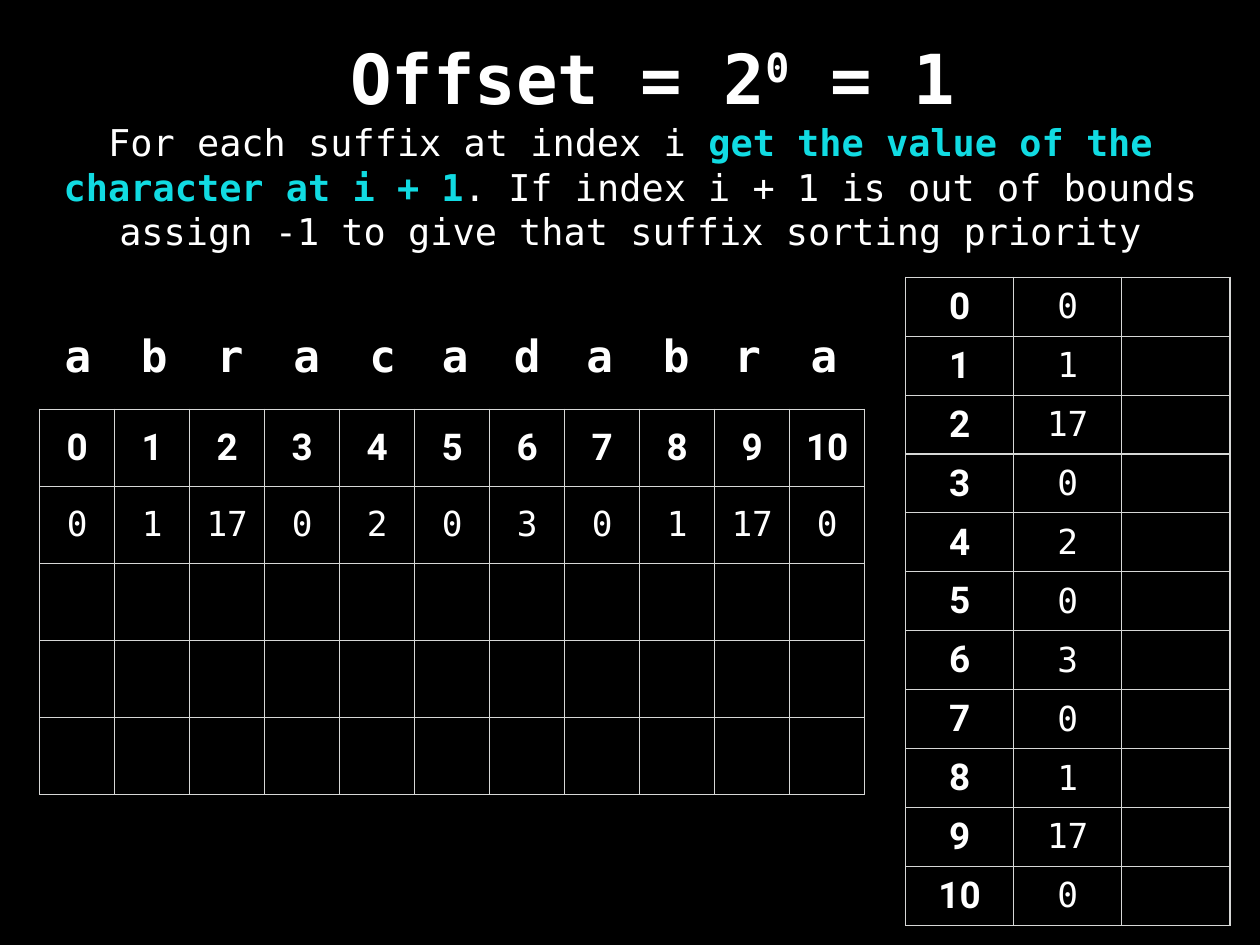
import pptx
import pptx.dml.color
import pptx.enum.text
import pptx.oxml
import pptx.oxml.ns
import pptx.util

Cm = pptx.util.Cm
Pt = pptx.util.Pt
Align = pptx.enum.text.PP_ALIGN
Anchor = pptx.enum.text.MSO_ANCHOR

MONO = "DejaVu Sans Mono"
WHITE = "FFFFFF"
CYAN = "11DBE2"
GRID = "D6D7D6"
INSET = Cm(0.15)

WORD = "abracadabra"
LETTER_LEFTS = [1.7, 3.89, 6.07, 8.26, 10.44, 12.52, 14.58, 16.66, 18.85, 20.9, 23.09]
INDEXES = range(len(WORD))
RANKS = [ord(letter) - ord("a") for letter in WORD]


def color(value):
    return pptx.dml.color.RGBColor.from_string(value)


def add_text(para, text, size=30, font=MONO, fill=WHITE, bold=False, raised=0):
    """Append a formatted span; raised is the superscript shift in percent."""
    span = para.add_run()
    span.text = text
    span.font.size = Pt(size)
    span.font.name = font
    span.font.bold = bold
    span.font.color.rgb = color(fill)
    if raised:
        span._r.get_or_add_rPr().set("baseline", str(raised * 1000))


def add_box(page, left, top, width, height, align, wrap=True):
    """Add an empty text box and return its first paragraph."""
    box = page.shapes.add_textbox(Cm(left), Cm(top), Cm(width), Cm(height))
    frame = box.text_frame
    frame.word_wrap = wrap
    frame.auto_size = pptx.enum.text.MSO_AUTO_SIZE.SHAPE_TO_FIT_TEXT
    frame.vertical_anchor = Anchor.MIDDLE
    frame.margin_left = frame.margin_right = INSET
    frame.margin_top = frame.margin_bottom = INSET
    para = frame.paragraphs[0]
    para.alignment = align
    return para


def style_cell(cell):
    """Clear the fill, centre the text and outline all four sides."""
    cell.fill.background()
    cell.vertical_anchor = Anchor.MIDDLE
    cell.margin_left = cell.margin_right = INSET
    cell.margin_top = cell.margin_bottom = INSET
    cell.text_frame.paragraphs[0].alignment = Align.CENTER
    properties = cell._tc.get_or_add_tcPr()
    for position, side in enumerate("LRTB"):
        line = pptx.oxml.parse_xml(
            f'<a:ln{side} {pptx.oxml.ns.nsdecls("a")} w="{Pt(1)}">'
            f'<a:solidFill><a:srgbClr val="{GRID}"/></a:solidFill></a:ln{side}>'
        )
        properties.insert(position, line)


def add_grid(page, left, top, columns, rows, column_width, row_height):
    frame = page.shapes.add_table(
        rows, columns, Cm(left), Cm(top),
        Cm(column_width * columns), Cm(row_height * rows),
    )
    table = frame.table
    table.first_row = table.horz_banding = False
    for column in table.columns:
        column.width = Cm(column_width)
    for row in table.rows:
        row.height = Cm(row_height)
    for cell in table.iter_cells():
        style_cell(cell)
    return table


def fill_pair(index_cell, rank_cell, index, rank):
    add_text(index_cell.text_frame.paragraphs[0], str(index), font="Roboto", bold=True)
    add_text(rank_cell.text_frame.paragraphs[0], str(rank), size=28)


def main():
    deck = pptx.Presentation()
    deck.slide_width, deck.slide_height = Cm(36.12), Cm(27.1)
    page = deck.slides.add_slide(deck.slide_layouts[6])
    page.background.fill.solid()
    page.background.fill.fore_color.rgb = color("000000")

    # Horizontal table: indexes above ranks, three rows left open
    wide = add_grid(page, 1.14, 11.73, len(WORD), 5, 2.15, 2.21)
    for index, rank in zip(INDEXES, RANKS):
        fill_pair(wide.cell(0, index), wide.cell(1, index), index, rank)

    # Letters above the horizontal table
    for letter, left in zip(WORD, LETTER_LEFTS):
        para = add_box(page, left, 9.3, 1.09, 1.73, Align.LEFT, wrap=False)
        add_text(para, letter, size=36, bold=True)

    # Title with exponent
    title = add_box(page, 5.99, 0.91, 25.45, 2.57, Align.CENTER)
    add_text(title, "Offset = 2", size=56, bold=True)
    add_text(title, "0", size=56, bold=True, raised=32)
    add_text(title, " = 1", size=56, bold=True)

    # Explanation
    rule = add_box(page, 1.45, 3.35, 33.25, 3.99, Align.CENTER)
    add_text(rule, "For each suffix at index i ")
    add_text(rule, "get the value of the character at i + 1", fill=CYAN, bold=True)
    add_text(rule, ". If index i + 1 is out of bounds assign -1 "
                   "to give that suffix sorting priority")

    # Vertical table: index, rank and an open column
    tall = add_grid(page, 25.96, 7.95, 3, len(WORD), 3.1, 1.69)
    for index, rank in zip(INDEXES, RANKS):
        fill_pair(tall.cell(index, 0), tall.cell(index, 1), index, rank)

    deck.save("out.pptx")


if __name__ == "__main__":
    main()
